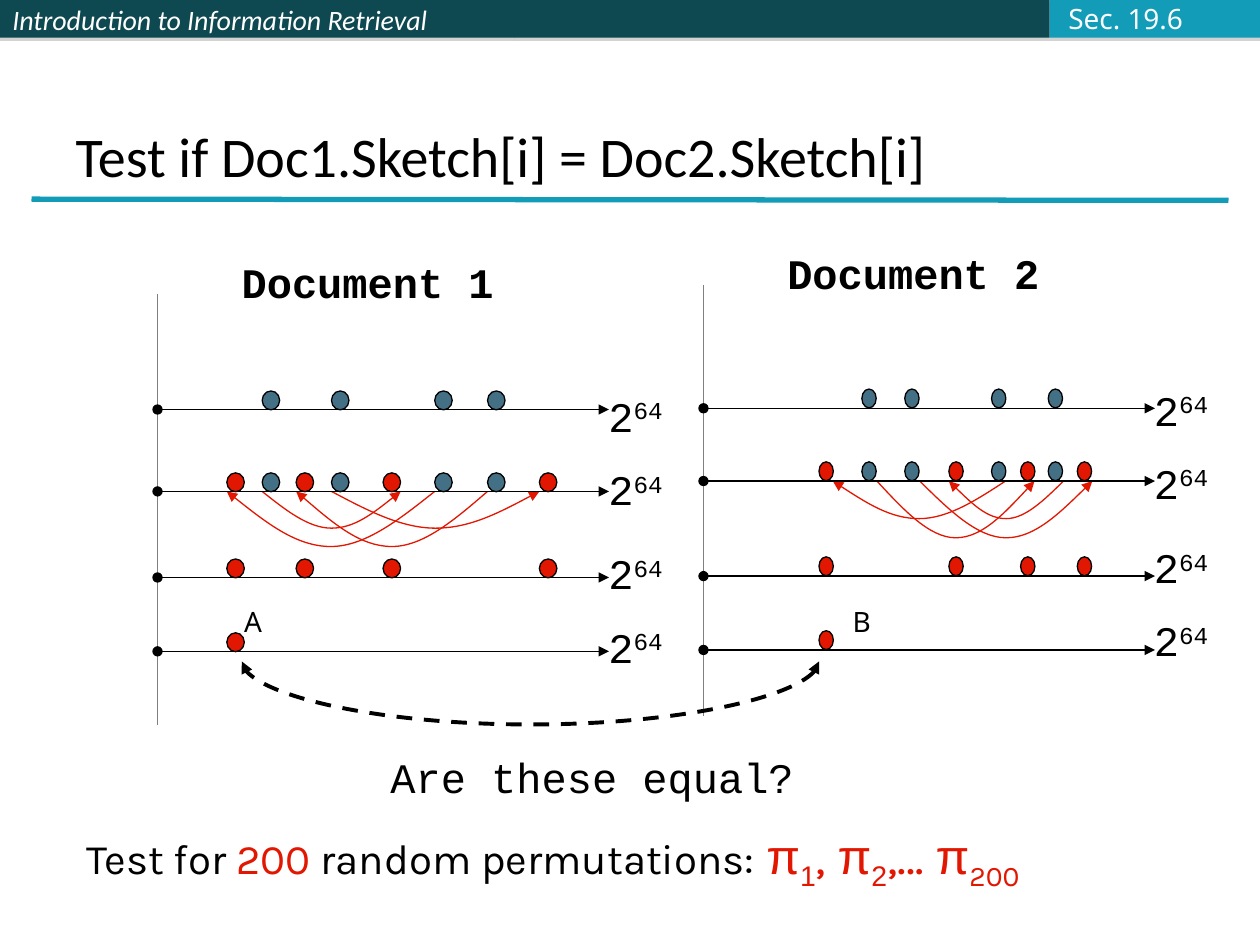
from lxml.etree import SubElement
from pptx import Presentation
from pptx.dml.color import RGBColor
from pptx.enum.dml import MSO_LINE
from pptx.enum.shapes import MSO_CONNECTOR, MSO_SHAPE
from pptx.enum.text import MSO_ANCHOR, MSO_AUTO_SIZE, PP_ALIGN
from pptx.oxml.ns import qn
from pptx.util import Pt

BLACK, GREY, WHITE = "000000", "808080", "FFFFFF"
DARK, TEAL, BLUE, RED = "0E4851", "139CB7", "437085", "E21702"
MONO, SANS, KARLA = "Courier New", "Noto Sans", "Karla"


def color(code):
    return RGBColor.from_string(code)


def points(*values):
    return [Pt(v) for v in values]


class Deck:
    def __init__(self):
        self.show = Presentation()
        self.show.slide_width, self.show.slide_height = points(720, 540)
        self.slide = self.show.slides.add_slide(self.show.slide_layouts[5])
        self.shapes = self.slide.shapes

    def style(self, run, size, font, code, bold=False, italic=False, base=0):
        face = run.font
        face.size, face.name = Pt(size), font
        face.bold, face.italic = bold, italic
        face.color.rgb = color(code)
        if base:
            run._r.get_or_add_rPr().set("baseline", str(base * 1000))

    def title(self, text, x, y, w, h):
        box = self.shapes.title
        box.left, box.top, box.width, box.height = points(x, y, w, h)
        frame = box.text_frame
        frame.text = text
        frame.auto_size = MSO_AUTO_SIZE.NONE
        frame.vertical_anchor = MSO_ANCHOR.BOTTOM
        para = frame.paragraphs[0]
        para.alignment = PP_ALIGN.LEFT
        self.style(para.runs[0], 32, "Calibri", BLACK)

    def text(self, x, y, w, h, *parts):
        """Each part is a text, its size, font, colour and any extra styles."""
        frame = self.shapes.add_textbox(*points(x, y, w, h)).text_frame
        frame.word_wrap = False
        frame.auto_size = MSO_AUTO_SIZE.SHAPE_TO_FIT_TEXT
        for words, size, font, code, *more in parts:
            run = frame.paragraphs[0].add_run()
            run.text = words
            self.style(run, size, font, code, **(more[0] if more else {}))

    def bar(self, x, w, code, text=""):
        bar = self.shapes.add_shape(MSO_SHAPE.RECTANGLE, *points(x, 0, w, 21.6))
        bar.fill.solid()
        bar.fill.fore_color.rgb = color(code)
        bar.line.fill.background()
        bar.shadow.inherit = False
        effects = bar._element.spPr.find(qn("a:effectLst"))
        shade = SubElement(effects, qn("a:outerShdw"), dist=str(Pt(1.8)),
                           dir="5400000", rotWithShape="0")
        tint = SubElement(shade, qn("a:srgbClr"), val=GREY)
        SubElement(tint, qn("a:alpha"), val="35000")
        if text:
            frame = bar.text_frame
            frame.text = text
            frame.word_wrap = False
            frame.vertical_anchor = MSO_ANCHOR.MIDDLE
            para = frame.paragraphs[0]
            para.alignment = PP_ALIGN.LEFT
            self.style(para.runs[0], 16, "Calibri", WHITE, italic=True)

    def stroke(self, shape, code, width, head=None, tail=None):
        shape.line.color.rgb = color(code)
        shape.line.width = Pt(width)
        pen = shape.line._get_or_add_ln()
        for tag, kind in (("a:headEnd", head), ("a:tailEnd", tail)):
            if kind:
                SubElement(pen, qn(tag), type=kind)

    def line(self, x1, y1, x2, y2, code=BLACK, width=0.75, head=None, tail=None):
        line = self.shapes.add_connector(MSO_CONNECTOR.STRAIGHT,
                                         *points(x1, y1, x2, y2))
        self.stroke(line, code, width, head, tail)
        SubElement(line._element.spPr, qn("a:effectLst"))

    def dot(self, x, y, w, h, code):
        dot = self.shapes.add_shape(MSO_SHAPE.OVAL, *points(x, y, w, h))
        dot.fill.solid()
        dot.fill.fore_color.rgb = color(code)
        dot.shadow.inherit = False
        self.stroke(dot, BLACK, 0.75)

    def arc(self, x1, x2, y, depth, near=1 / 3, far=2 / 3, code=RED,
            width=0.75, head=None, dash=None):
        """Hang two joined Bezier curves from y; near and far place the handles."""
        mid, low = (x1 + x2) / 2, y + depth
        left, right = mid - x1, mid - x2
        nodes = [(x1 + near * left, y + depth / 2), (x1 + far * left, low),
                 (mid, low), (x2 + far * right, low),
                 (x2 + near * right, y + depth / 2), (x2, y)]
        pen = self.shapes.build_freeform(Pt(x1), Pt(y))
        pen.add_line_segments([points(*n) for n in nodes], close=False)
        arc = pen.convert_to_shape()
        path = next(arc._element.iter(qn("a:path")))
        steps = path.findall(qn("a:lnTo"))
        for start in (0, 3):
            curve = SubElement(path, qn("a:cubicBezTo"))
            for step in steps[start:start + 3]:
                curve.append(step[0])
                path.remove(step)
        arc.fill.background()
        arc.shadow.inherit = False
        if dash:
            arc.line.dash_style = dash
        self.stroke(arc, code, width, head, "triangle")

    def plot(self, name, x, top, rows, lift, size, blue, red, arcs, label, head):
        """Draw one document: four number lines with their dots and arcs."""
        self.line(x, top, x, top + 246.2, GREY)
        self.text(*head, 158.4, 36, (name, 24, MONO, BLACK, {"bold": True}))
        for begin, end, depth in arcs:
            self.arc(begin, end, rows[1], depth)
        sets = [(blue, []), (blue, red), ([], red), ([], red[:1])]
        for y, gap, (blues, reds) in zip(rows, STEPS, sets):
            self.line(x, y, x + 258, y, head="oval", tail="triangle")
            for spots, code in ((blues, BLUE), (reds, RED)):
                for spot in spots:
                    self.dot(spot, y - lift, size, 10.8, code)
            self.text(label[0], label[1] + gap, 45.4, 36, ("2", 24, MONO, BLACK),
                      ("64", 24, MONO, BLACK, {"base": 30}))


STEPS = [0, 41.8, 90, 131.8]


def main():
    deck = Deck()
    deck.bar(0, 293.8, DARK, "Introduction to Information Retrieval")
    deck.bar(293.8, 306, DARK)
    deck.bar(599.8, 120.2, TEAL)
    deck.line(18, 113.8, 702, 114.5, TEAL, 3)
    deck.title("Test if Doc1.Sketch[i] = Doc2.Sketch[i]", 36, 21.6, 648, 90)

    deck.plot("Document 1", 90, 167.8, [234, 280.8, 330, 372.2], 10.6, 10,
              [149.8, 189.4, 248.4, 278.6], [129.6, 169.2, 218.9, 308.2],
              [(149.8, 229, 21), (248.4, 129.6, 31.5),
               (189.4, 308.2, 21), (278.6, 169.2, 31.5)],
              (340.6, 219.6), (131, 143.3))
    deck.plot("Document 2", 402, 162.7, [233.3, 274.9, 329.2, 371.4], 11, 8.2,
              [492.5, 517, 566.6, 599], [468, 542.2, 583.2, 615.6],
              [(607.7, 542.2, 21.5), (525.6, 624.2, 32.4),
               (574.6, 475.9, 21.5), (501.1, 591.1, 32.4)],
              (652.3, 216), (442.8, 138.2))

    deck.arc(468, 138.2, 378, 36, 0, 0.5, BLACK, 2.25, "triangle", MSO_LINE.DASH)
    deck.text(216, 426.2, 244.8, 36, ("Are these equal?", 24, MONO, BLACK))
    sub = {"base": -25}
    pi = ("π", 28, "Arial", RED)
    deck.text(42.5, 468, 558.7, 45.4,
              ("Test for", 24, KARLA, BLACK), (" 200", 24, KARLA, RED),
              (" random permutations:", 24, KARLA, BLACK), (" ", 28, KARLA, BLACK),
              pi, ("1", 28, "Arial", RED, sub), (", ", 28, KARLA, RED),
              pi, ("2", 28, "Arial", RED, sub), (",… ", 28, KARLA, RED),
              pi, ("200", 28, KARLA, RED, sub))
    for x, y, w, words, code in ((132.5, 342, 24.5, "A", BLACK),
                                 (480.2, 342, 24.5, "B", BLACK),
                                 (603.4, -2.9, 79.9, "Sec. 19.6", "FBFCFF")):
        deck.text(x, y, w, 26.6, (words, 16, SANS, code))
    deck.show.save("out.pptx")


if __name__ == "__main__":
    main()
